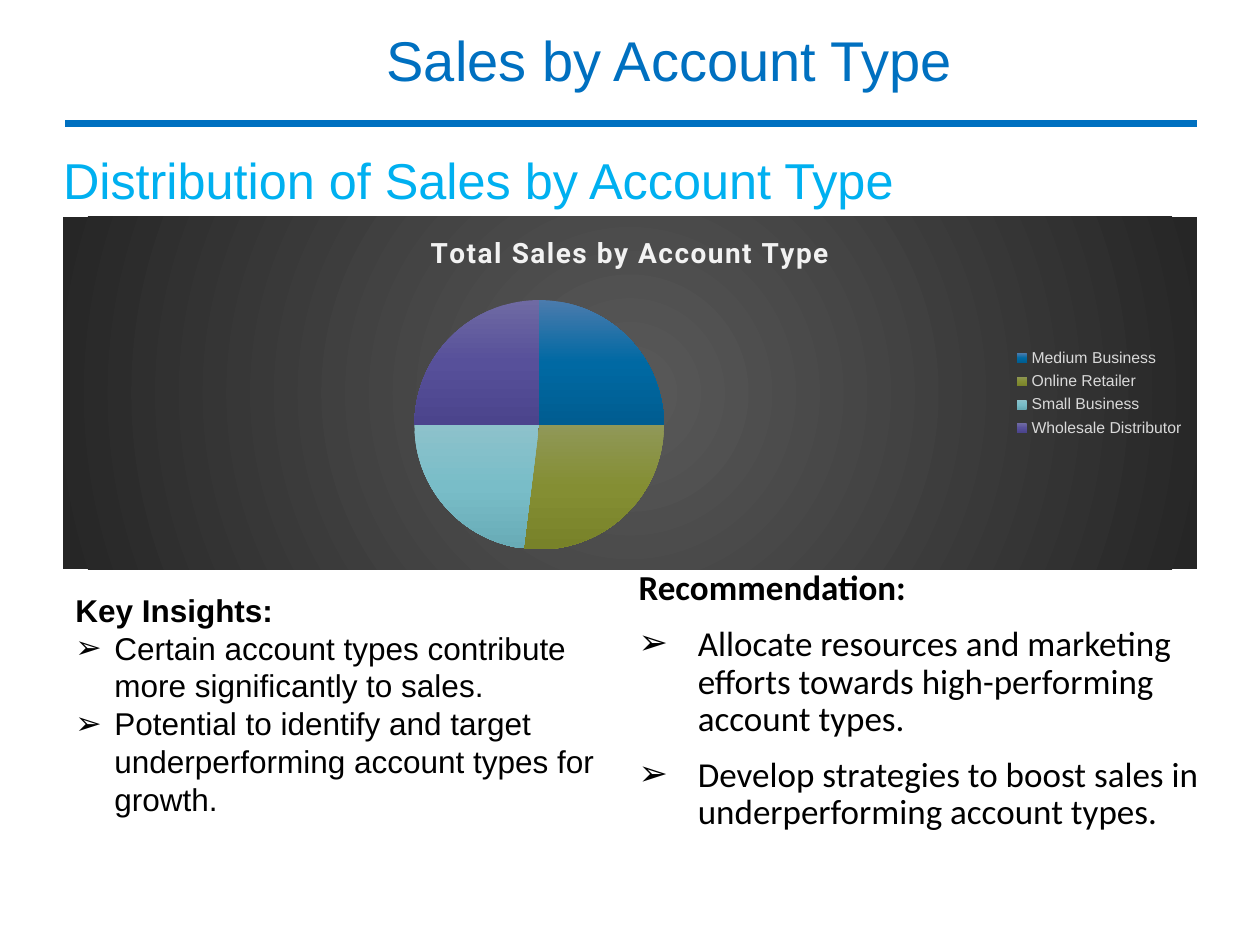
from lxml import etree
from pptx import Presentation
from pptx import util as u
from pptx.chart.data import CategoryChartData
from pptx.dml.color import RGBColor
from pptx.enum import chart as charts, shapes, text
from pptx.oxml import parse_xml
from pptx.oxml.ns import nsdecls, qn


def color(value):
    return RGBColor.from_string(value)


def gradient(stops, direction):
    marks = "".join(
        f'<a:gs pos="{place * 1000}"><a:srgbClr val="{value}"/></a:gs>' for place, value in stops
    )
    return f'<a:gradFill {nsdecls("a")} rotWithShape="1"><a:gsLst>{marks}</a:gsLst>{direction}</a:gradFill>'


class SlideBuilder:
    """Holds the style and the current page, with a method for each kind of element."""

    font = "Arial"
    blue, sky, black = "0070C0", "00B0F0", "000000"
    radial = ('<a:path path="circle"><a:fillToRect l="50000" t="50000" '
              'r="50000" b="50000"/></a:path>')
    downward = '<a:lin ang="5400000" scaled="0"/>'

    def __init__(self, deck):
        self.page = deck.slides.add_slide(deck.slide_layouts[5])

    def add_span(self, para, words, size, value, font=None, bold=False):
        span = para.add_run()
        span.text = words
        span.font.name = font or self.font
        span.font.size = u.Pt(size)
        span.font.bold = bold
        span.font.color.rgb = color(value)
        return span

    def rule(self, left, right, y):
        line = self.page.shapes.add_connector(
            shapes.MSO_CONNECTOR.STRAIGHT, u.Inches(left), u.Inches(y), u.Inches(right), u.Inches(y)
        )
        line.line.color.rgb = color(self.blue)
        line.line.width = u.Pt(4.5)
        etree.SubElement(line._element.spPr, qn("a:effectLst"))

    def title(self, words, left, top, width, height):
        box = self.page.shapes.title
        box.left, box.top = u.Inches(left), u.Inches(top)
        box.width, box.height = u.Inches(width), u.Inches(height)
        frame = box.text_frame
        frame.auto_size = text.MSO_AUTO_SIZE.NONE
        frame.vertical_anchor = text.MSO_ANCHOR.BOTTOM
        frame.margin_left = frame.margin_right = 0
        para = frame.paragraphs[0]
        para.alignment = text.PP_ALIGN.LEFT
        para.line_spacing = 0.9
        self.add_span(para, words, 28.8, self.sky)

    def text_box(self, left, top, width, height):
        box = self.page.shapes.add_textbox(
            u.Inches(left), u.Inches(top), u.Inches(width), u.Inches(height)
        )
        box.text_frame.word_wrap = True
        return box.text_frame

    def heading(self, words, left, top, width, height):
        frame = self.text_box(left, top, width, height)
        self.add_span(frame.paragraphs[0], words, 32, self.blue)

    def bullet(self, para, margin, hanging):
        props = para._p.get_or_add_pPr()
        props.set("marL", str(u.Inches(margin)))
        props.set("indent", str(-u.Inches(hanging)))
        etree.SubElement(props, qn("a:buFont")).set("typeface", self.font)
        etree.SubElement(props, qn("a:buChar")).set("char", "➢")

    def points(self, heading, items, place, size, margin, hanging,
               font=None, head_margin=0, spacing=None, before=None):
        frame = self.text_box(*place)
        for index, words in enumerate([heading, *items]):
            para = frame.add_paragraph() if index else frame.paragraphs[0]
            para.line_spacing = spacing
            para.space_before = before
            if index:
                self.bullet(para, margin, hanging)
            else:
                para._p.get_or_add_pPr().set("marL", str(u.Inches(head_margin)))
            self.add_span(para, words, size, self.black, font, bold=not index)

    def pie(self, title, slices, left, top, width, height):
        data = CategoryChartData()
        data.categories = [name for name, _, _ in slices]
        data.add_series("Series 1", [value for _, value, _ in slices])
        chart = self.page.shapes.add_chart(
            charts.XL_CHART_TYPE.PIE, u.Inches(left), u.Inches(top),
            u.Inches(width), u.Inches(height), data
        ).chart
        chart.font.name = self.font
        chart.font.size = u.Pt(10)
        chart.font.color.rgb = color(self.black)

        chart.has_title = True
        para = chart.chart_title.text_frame.paragraphs[0]
        span = self.add_span(para, title, 16, "F2F2F2", "Roboto", bold=True)
        span._r.get_or_add_rPr().set("spc", "100")
        chart.chart_title.include_in_layout = False

        chart.has_legend = True
        chart.legend.position = charts.XL_LEGEND_POSITION.RIGHT
        chart.legend.include_in_layout = False
        chart.legend.font.name = self.font
        chart.legend.font.size = u.Pt(9)
        chart.legend.font.color.rgb = color("D9D9D9")

        plot = chart.plots[0]
        plot.vary_by_categories = True
        series = plot.series[0]
        for index, (_, _, shades) in enumerate(slices):
            series.points[index].format.line.fill.background()
            wedge = series._element.findall(qn("c:dPt"))[index].find(qn("c:spPr"))
            wedge.insert(0, parse_xml(gradient(zip((0, 50, 100), shades), self.downward)))

        backdrop = gradient([(0, "595959"), (100, "262626")], self.radial)
        root = chart._chartSpace
        root.find(qn("c:chart")).addnext(parse_xml(
            f'<c:spPr {nsdecls("c", "a")}>{backdrop}<a:ln><a:noFill/></a:ln></c:spPr>'
        ))
        area = root.find(".//" + qn("c:plotArea"))
        for old in area.findall(qn("c:layout")):
            area.remove(old)
        bounds = "".join(
            f'<c:{key} val="{value}"/>'
            for key, value in [("layoutTarget", "inner"), ("xMode", "edge"), ("yMode", "edge"),
                               ("x", 0.31), ("y", 0.23), ("w", 0.22), ("h", 0.72)]
        )
        area.insert(0, parse_xml(
            f'<c:layout {nsdecls("c")}><c:manualLayout>{bounds}</c:manualLayout></c:layout>'
        ))


def main():
    deck = Presentation()
    deck.slide_width, deck.slide_height = u.Inches(10), u.Inches(7.5)
    builder = SlideBuilder(deck)
    builder.rule(0.52, 9.5, 0.98)
    builder.title("Distribution of Sales by Account Type", 0.5, 1.21, 7.25, 0.51)
    builder.points(
        "Recommendation:",
        ["Allocate resources and marketing efforts towards high-performing account types.",
         "Develop strategies to boost sales in underperforming account types."],
        (4.94, 4.48, 5.06, 2.09), 20, 0.5, 0.47,
        font="Calibri", head_margin=0.03, spacing=0.9, before=u.Pt(10),
    )
    builder.heading("Sales by Account Type", 2.97, 0.15, 5.12, 0.64)
    builder.points(
        "Key Insights:",
        ["Certain account types contribute more significantly to sales.",
         "Potential to identify and target underperforming account types for growth."],
        (0.5, 4.64, 4.44, 1.92), 18, 0.31, 0.31,
    )
    builder.pie(
        "Total Sales by Account Type",
        [("Medium Business", 25, ("4B7BAD", "0069A3", "005D91")),
         ("Online Retailer", 27, ("909858", "848E33", "788229")),
         ("Small Business", 23, ("8DC2CB", "79BDC8", "68ABB6")),
         ("Wholesale Distributor", 25, ("6F6AA3", "57509A", "4B448C"))],
        0.5, 1.72, 9, 2.8,
    )
    deck.save("out.pptx")


if __name__ == "__main__":
    main()
